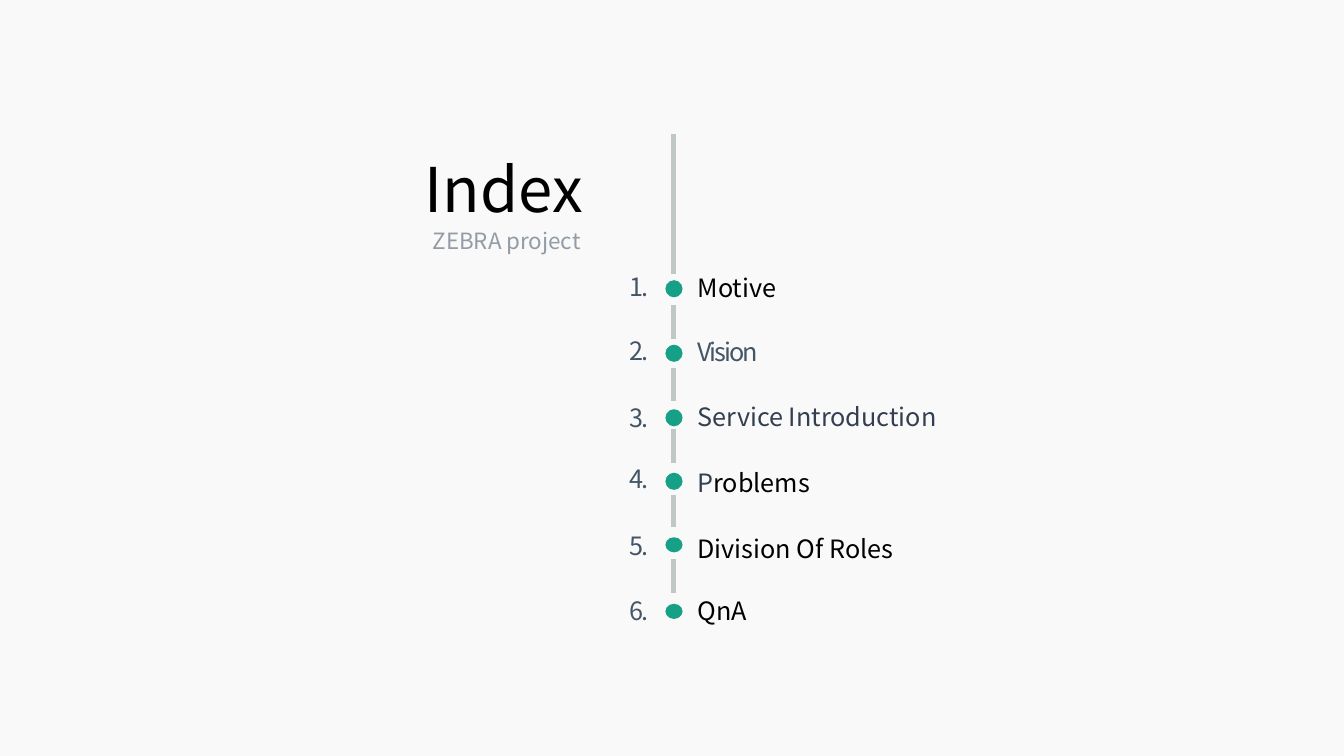
from dataclasses import dataclass

from lxml.etree import SubElement
from pptx import Presentation
from pptx.dml.color import RGBColor
from pptx.enum.shapes import MSO_CONNECTOR as Connector, MSO_SHAPE as Shape
from pptx.enum.text import MSO_AUTO_SIZE as AutoSize, PP_ALIGN as Align
from pptx.oxml.ns import qn
from pptx.slide import Slide
from pptx.util import Emu, Pt

PX = 9144  # 100 px to the inch
FONT = "Noto Sans CJK KR"
COLORS = {
    "background": "F9F9F9",
    "dot": "16A085",
    "line": "BFC7C7",
    "black": "000000",
    "slate": "445566",
    "navy": "333F50",
    "gray": "939BA5",
}

DOT_LEFT, DOT_WIDTH = 660, 17
LINE_X = 668
NUMBER_LEFT, NUMBER_WIDTH = 604, 60
LABEL_LEFT, LABEL_WIDTH = 682, 395
ROW_HEIGHT = 40
TIGHT = -150  # hundredths of a point


@dataclass(frozen=True)
class TextRun:
    text: str
    color: str
    size: int = 18
    spacing: int = 0


@dataclass(frozen=True)
class IndexItem:
    runs: tuple[TextRun, ...]
    number_top: int
    label_top: int
    dot_top: int
    dot_height: int
    line_top: int  # line segment leading down to the dot
    line_bottom: int


ITEMS = (
    IndexItem((TextRun("Motive", "black"),), 264, 265, 278, 17, 133, 272),
    IndexItem((TextRun("Vision", "slate", spacing=TIGHT),), 328, 329, 342, 17, 303, 336),
    IndexItem((TextRun("Service Introduction", "navy"),), 394, 393, 406, 17, 365, 398),
    IndexItem((TextRun("P", "navy"), TextRun("roblems", "black")),
              455, 459, 469, 17, 426, 459),
    IndexItem((TextRun("Division Of Roles", "black"),), 521, 524, 533, 15, 491, 523),
    IndexItem((TextRun("QnA", "black"),), 586, 586, 599, 15, 555, 588),
)


def px(value: int) -> Emu:
    return Emu(value * PX)


def rgb(name: str) -> RGBColor:
    return RGBColor.from_string(COLORS[name])


def add_text(slide: Slide, left: int, top: int, width: int, height: int,
             runs: tuple[TextRun, ...], align: Align = Align.LEFT) -> None:
    box = slide.shapes.add_textbox(px(left), px(top), px(width), px(height))
    frame = box.text_frame
    frame.word_wrap = True
    frame.auto_size = AutoSize.SHAPE_TO_FIT_TEXT
    paragraph = frame.paragraphs[0]
    paragraph.alignment = align
    for item in runs:
        run = paragraph.add_run()
        run.text = item.text
        run.font.name = FONT
        run.font.size = Pt(item.size)
        run.font.color.rgb = rgb(item.color)
        properties = run._r.get_or_add_rPr()
        SubElement(properties, qn("a:ea")).set("typeface", FONT)
        if item.spacing:
            properties.set("spc", str(item.spacing))


def add_segment(slide: Slide, top: int, bottom: int) -> None:
    segment = slide.shapes.add_connector(
        Connector.STRAIGHT, px(LINE_X), px(top), px(LINE_X), px(bottom))
    segment.line.color.rgb = rgb("line")
    segment.line.width = Pt(3)
    SubElement(segment._element.spPr, qn("a:effectLst"))


def add_dot(slide: Slide, top: int, height: int) -> None:
    dot = slide.shapes.add_shape(
        Shape.OVAL, px(DOT_LEFT), px(top), px(DOT_WIDTH), px(height))
    dot.shadow.inherit = False
    dot.fill.solid()
    dot.fill.fore_color.rgb = rgb("dot")
    dot.line.fill.background()


def add_item(slide: Slide, number: int, item: IndexItem) -> None:
    add_segment(slide, item.line_top, item.line_bottom)
    add_dot(slide, item.dot_top, item.dot_height)
    add_text(slide, NUMBER_LEFT, item.number_top, NUMBER_WIDTH, ROW_HEIGHT,
             (TextRun(f"{number}.", "slate", spacing=TIGHT),), Align.CENTER)
    add_text(slide, LABEL_LEFT, item.label_top, LABEL_WIDTH, ROW_HEIGHT, item.runs)


def main() -> None:
    presentation = Presentation()
    presentation.slide_width = px(1333)
    presentation.slide_height = px(750)
    slide = presentation.slides.add_slide(presentation.slide_layouts[6])
    slide.background.fill.solid()
    slide.background.fill.fore_color.rgb = rgb("background")

    # Heading
    add_text(slide, 282, 145, 306, 84, (TextRun("Index", "black", 44),), Align.RIGHT)
    add_text(slide, 312, 220, 386, 37,
             (TextRun("ZEBRA project ", "gray", 16),), Align.CENTER)

    # Timeline of index entries
    for number, item in enumerate(ITEMS, start=1):
        add_item(slide, number, item)

    presentation.save("out.pptx")


if __name__ == "__main__":
    main()
